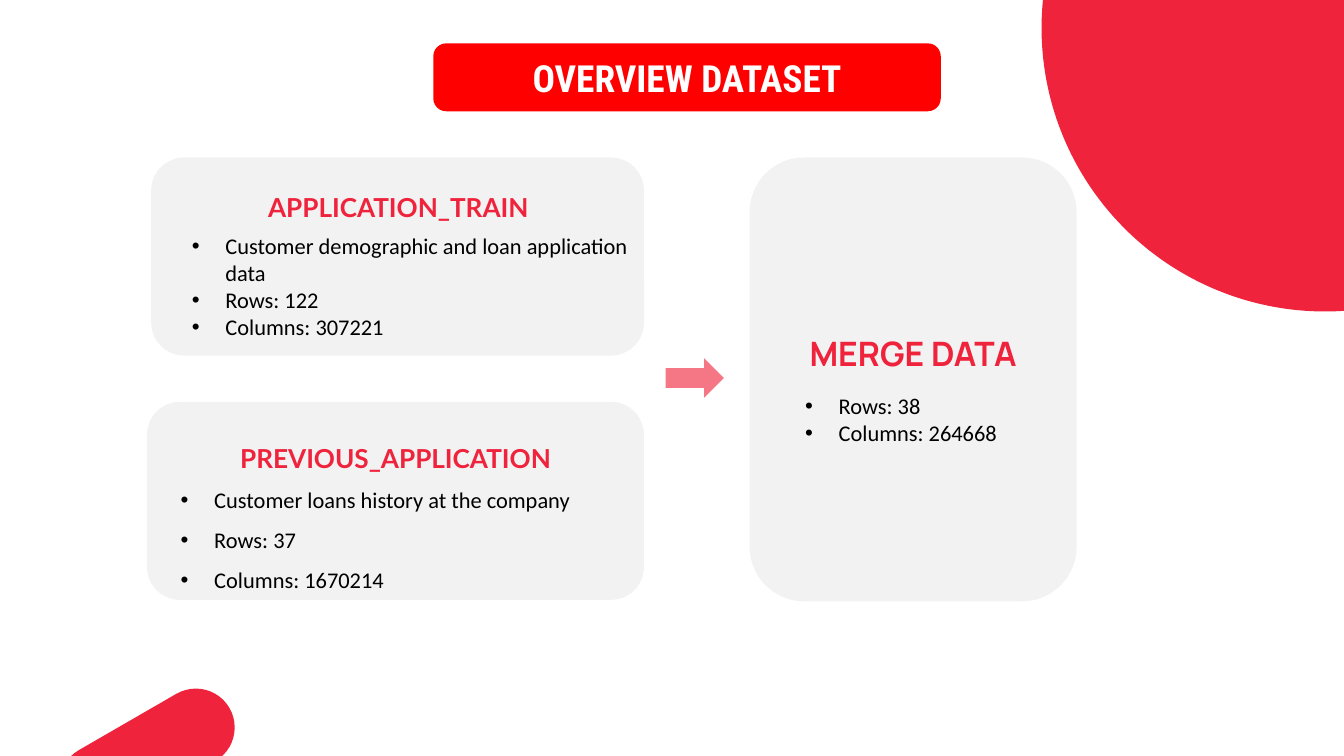
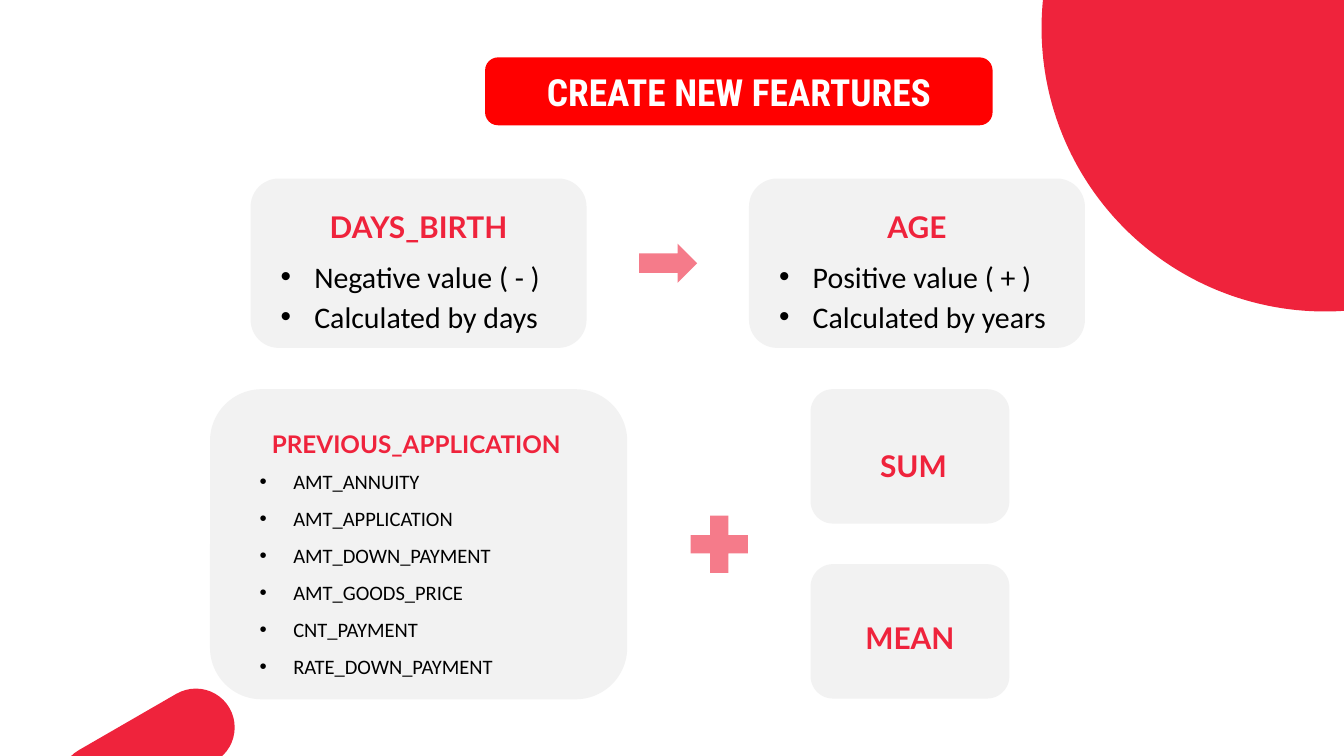
"""Build the two dataset slides: the overview and the newly created features."""
from dataclasses import dataclass
from math import acos, asin, cos, pi, sin
from typing import Any

from lxml import etree
from pptx import Presentation
from pptx.dml.color import RGBColor
from pptx.enum.shapes import MSO_SHAPE
from pptx.enum.text import MSO_ANCHOR, MSO_AUTO_SIZE, PP_ALIGN
from pptx.oxml.ns import qn
from pptx.util import Emu, Pt

ROUNDED, ARROW, PLUS = MSO_SHAPE.ROUNDED_RECTANGLE, MSO_SHAPE.RIGHT_ARROW, MSO_SHAPE.MATH_PLUS
TOP, MIDDLE = MSO_ANCHOR.TOP, MSO_ANCHOR.MIDDLE
LEFT, CENTER = PP_ALIGN.LEFT, PP_ALIGN.CENTER
NO_FIT = MSO_AUTO_SIZE.NONE
PX = 9525
SLIDE_WIDTH, SLIDE_HEIGHT = 1920, 1080
COMPARISON_LAYOUT = 4


@dataclass(frozen=True)
class Theme:
    """Colours, fonts and type sizes shared by the slides."""
    accent: str = "EF233C"
    symbol: str = "EF243C"
    banner: str = "FF0000"
    card: str = "F2F2F2"
    ink: str = "000000"
    paper: str = "FFFFFF"
    title_font: str = "Roboto Condensed"
    heading_font: str = "Lato"
    result_font: str = "Manrope"
    list_font: str = "Calibri"
    title_size: int = 40
    result_size: int = 36
    large_size: int = 32
    heading_size: int = 28
    small_heading_size: int = 26
    list_size: int = 24
    small_list_size: int = 22
    line_pitch: int = 36


THEME = Theme()


@dataclass(frozen=True)
class Box:
    """A position and size in px."""
    left: int
    top: int
    width: int
    height: int

    def emu(self) -> tuple[Emu, ...]:
        """Return the four lengths in EMU."""
        return tuple(Emu(px * PX) for px in (self.left, self.top, self.width, self.height))


@dataclass(frozen=True)
class Heading:
    """A centred red heading."""
    text: str
    box: Box
    size: int = THEME.large_size
    font: str = THEME.heading_font


@dataclass(frozen=True)
class BulletList:
    """A bulleted list and its line spacing."""
    items: tuple[str, ...]
    box: Box
    size: int = THEME.list_size
    spacing: float = 1.0


@dataclass(frozen=True)
class Symbol:
    """A translucent sign between cards."""
    preset: Any
    box: Box
    opacity: int = 60


@dataclass(frozen=True)
class Page:
    """Everything shown on one slide."""
    title: str
    banner: Box
    cards: tuple[Box, ...]
    headings: tuple[Heading, ...]
    lists: tuple[BulletList, ...]
    symbols: tuple[Symbol, ...]


def age_column(left: int, name: str, items: tuple[str, ...]) -> tuple[Box, Heading, BulletList]:
    """Return the card, heading and list of one side of the age conversion."""
    return (Box(left, 255, 480, 242),
            Heading(name, Box(left, 287, 480, 59)),
            BulletList(items, Box(left + 33, 358, 447, 107), THEME.large_size,
                       THEME.line_pitch / THEME.large_size))


BIRTH = age_column(358, "DAYS_BIRTH", ("Negative value ( - )", "Calculated by days"))
AGE = age_column(1070, "AGE", ("Positive value ( + )", "Calculated by years"))

PAGES = (
    Page(
        "OVERVIEW DATASET", Box(619, 62, 725, 97),
        (Box(216, 225, 704, 283), Box(1071, 225, 467, 634), Box(210, 574, 710, 283)),
        (Heading("APPLICATION_TRAIN", Box(218, 256, 702, 56), THEME.heading_size),
         Heading("PREVIOUS_APPLICATION", Box(210, 614, 710, 56), THEME.heading_size),
         Heading("MERGE DATA", Box(1071, 470, 467, 76), THEME.result_size, THEME.result_font)),
        (BulletList(("Customer demographic and loan application data", "Rows: 122",
                     "Columns: 307221"), Box(264, 327, 672, 165)),
         BulletList(("Customer loans history at the company", "Rows: 37",
                     "Columns: 1670214"), Box(248, 670, 632, 152), spacing=1.5),
         BulletList(("Rows: 38", "Columns: 264668"), Box(1140, 555, 328, 87))),
        (Symbol(ARROW, Box(951, 512, 83, 56), 62),),
    ),
    Page(
        "CREATE NEW FEARTURES", Box(693, 82, 725, 97),
        (BIRTH[0], AGE[0], Box(300, 556, 596, 443),
         Box(1158, 556, 284, 192), Box(1158, 806, 284, 192)),
        (BIRTH[1], AGE[1],
         Heading("PREVIOUS_APPLICATION", Box(300, 592, 590, 55), THEME.small_heading_size),
         Heading("SUM", Box(1163, 629, 284, 59)),
         Heading("MEAN", Box(1158, 874, 284, 59))),
        (BIRTH[2], AGE[2],
         BulletList(("AMT_ANNUITY", "AMT_APPLICATION", "AMT_DOWN_PAYMENT", "AMT_GOODS_PRICE",
                     "CNT_PAYMENT", "RATE_DOWN_PAYMENT"), Box(361, 648, 495, 324),
                    THEME.small_list_size, 1.5)),
        (Symbol(ARROW, Box(913, 348, 83, 56)), Symbol(PLUS, Box(972, 722, 111, 111))),
    ),
)


def apply_format(target: Any, values: dict[str, Any]) -> None:
    """Set each named attribute on the target."""
    for name, value in values.items():
        setattr(target, name, value)


def paint(shape: Any, color: str) -> None:
    """Give a shape a flat fill without line or shadow."""
    shape.shadow.inherit = False
    shape.fill.solid()
    shape.fill.fore_color.rgb = RGBColor.from_string(color)
    shape.line.fill.background()


def add_preset(slide: Any, preset: Any, box: Box, color: str) -> Any:
    """Draw a flat preset shape."""
    shape = slide.shapes.add_shape(preset, *box.emu())
    paint(shape, color)
    return shape


def write(shape: Any, lines: tuple[str, ...], font: dict[str, Any], color: str,
          align: Any = CENTER, anchor: Any = TOP, spacing: float = 1.0,
          bulleted: bool = False) -> None:
    """Fill a text holder with equally formatted paragraphs."""
    frame = shape.text_frame
    apply_format(frame, {
        "word_wrap": True, "auto_size": NO_FIT, "vertical_anchor": anchor,
        "margin_left": 10 * PX, "margin_right": 10 * PX,
        "margin_top": 5 * PX, "margin_bottom": 5 * PX})
    for index, line in enumerate(lines):
        paragraph = frame.add_paragraph() if index else frame.paragraphs[0]
        apply_format(paragraph, {"alignment": align, "line_spacing": spacing,
                                 "space_before": Pt(0), "space_after": Pt(0)})
        if bulleted:
            add_bullet(paragraph)
        run = paragraph.add_run()
        run.text = line
        apply_format(run.font, font)
        run.font.color.rgb = RGBColor.from_string(color)


def add_bullet(paragraph: Any) -> None:
    """Give a paragraph a round bullet with a hanging indent."""
    properties = paragraph._p.get_or_add_pPr()
    properties.set("marL", str(48 * PX))
    properties.set("indent", str(-48 * PX))
    etree.SubElement(properties, qn("a:buFont")).set("typeface", "Arial")
    etree.SubElement(properties, qn("a:buChar")).set("char", "•")


def place(placeholder: Any, box: Box) -> None:
    """Move a placeholder to its box, in front of the shapes drawn so far."""
    apply_format(placeholder, dict(zip(("left", "top", "width", "height"), box.emu())))
    element = placeholder._element
    element.getparent().append(element)


def add_corners(slide: Any) -> None:
    """Draw the red disc at the top right and the pill at the bottom left."""
    center_x, center_y, radius, steps = 1893, 40, 405, 90
    start = acos((SLIDE_WIDTH - center_x) / radius)
    end = pi + asin(center_y / radius)
    angles = [start + (end - start) * step / steps for step in range(steps + 1)]
    rim = [(round((center_x + radius * cos(angle)) * PX),
            round((center_y + radius * sin(angle)) * PX)) for angle in angles]
    outline = slide.shapes.build_freeform(SLIDE_WIDTH * PX, 0)
    outline.add_line_segments(rim, close=True)
    paint(outline.convert_to_shape(), THEME.accent)
    pill = add_preset(slide, ROUNDED, Box(74, 1024, 272, 111), THEME.accent)
    pill.adjustments[0] = 0.5
    pill.rotation = 150


def add_symbol(slide: Any, symbol: Symbol) -> None:
    """Draw a translucent sign."""
    shape = add_preset(slide, symbol.preset, symbol.box, THEME.symbol)
    color = shape._element.spPr.find(qn("a:solidFill")).find(qn("a:srgbClr"))
    etree.SubElement(color, qn("a:alpha")).set("val", str(symbol.opacity * 1000))


def add_title(slide: Any, page: Page) -> None:
    """Draw the red banner and set the title on it."""
    banner = add_preset(slide, ROUNDED, page.banner, THEME.banner)
    banner.adjustments[0] = 0.19
    place(slide.shapes.title, page.banner)
    write(slide.shapes.title, (page.title,),
          {"name": THEME.title_font, "size": Pt(THEME.title_size), "bold": True},
          THEME.paper, anchor=MIDDLE)


def add_heading(slide: Any, heading: Heading) -> None:
    """Write a heading on the common line pitch."""
    write(slide.shapes.add_textbox(*heading.box.emu()), (heading.text,),
          {"name": heading.font, "size": Pt(heading.size), "bold": True},
          THEME.accent, spacing=THEME.line_pitch / heading.size)


def add_lists(slide: Any, lists: tuple[BulletList, ...]) -> None:
    """Fill the body placeholders with the lists and remove those left over."""
    bodies = list(slide.placeholders)[1:]
    for body, bullets in zip(bodies, lists):
        place(body, bullets.box)
        write(body, bullets.items,
              {"name": THEME.list_font, "size": Pt(bullets.size), "bold": False},
              THEME.ink, align=LEFT, spacing=bullets.spacing, bulleted=True)
    for body in bodies[len(lists):]:
        body._element.getparent().remove(body._element)


def add_page(deck: Any, page: Page) -> None:
    """Build one slide from back to front."""
    slide = deck.slides.add_slide(deck.slide_layouts[COMPARISON_LAYOUT])
    add_corners(slide)
    add_title(slide, page)
    for card in page.cards:
        add_preset(slide, ROUNDED, card, THEME.card)
    for heading in page.headings:
        add_heading(slide, heading)
    for symbol in page.symbols:
        add_symbol(slide, symbol)
    add_lists(slide, page.lists)


def main() -> None:
    """Build and save the presentation."""
    deck = Presentation()
    apply_format(deck, {"slide_width": SLIDE_WIDTH * PX, "slide_height": SLIDE_HEIGHT * PX})
    for page in PAGES:
        add_page(deck, page)
    deck.save("out.pptx")


if __name__ == "__main__":
    main()
